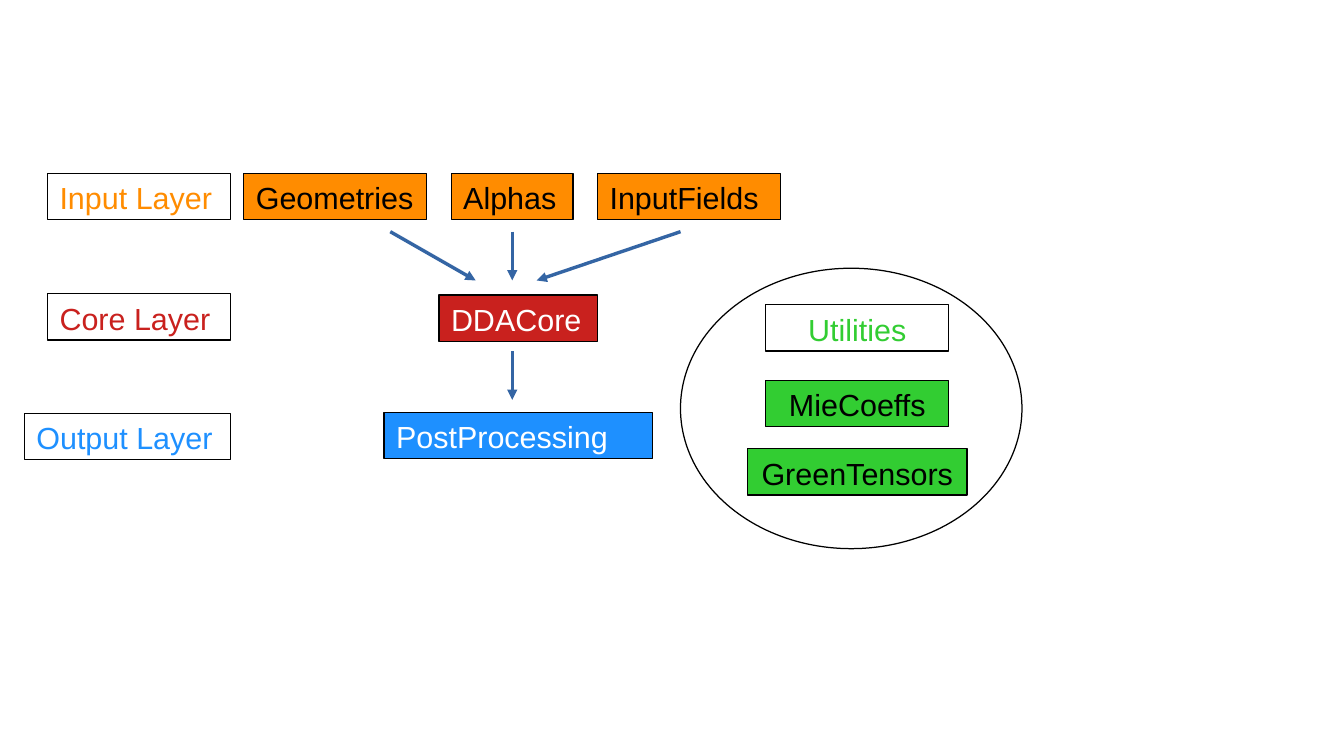
"""Draw the layers of a scattering code and its utilities."""
import dataclasses
import typing

import lxml.etree
import pptx
import pptx.dml.color
import pptx.enum.shapes
import pptx.enum.text
import pptx.oxml.ns
import pptx.util

Shape = pptx.enum.shapes.MSO_SHAPE
Align = pptx.enum.text.PP_ALIGN


@dataclasses.dataclass(frozen=True)
class Theme:
    font: str = "Arial"
    size: int = 18
    hair: int = 0
    black: str = "000000"
    white: str = "FFFFFF"
    orange: str = "FF8C00"
    red: str = "C9211E"
    blue: str = "1E90FF"
    green: str = "32CD32"
    arrow: str = "3465A4"


@dataclasses.dataclass(frozen=True)
class Box:
    text: str
    col: float
    row: float
    cols: float
    ink: str
    fill: typing.Optional[str] = None
    align: Align = Align.LEFT


@dataclasses.dataclass(frozen=True)
class Arrow:
    col: float
    row: float
    end_col: float
    end_row: float


THEME = Theme()
CELL = 0.1
TALL = 3.8
TOP, MID, LOW = 14.2, 24.1, 33.9
AXIS = 42
HUB = 69.8

LABELS = [
    Box("Input Layer", 3.9, TOP, 15, THEME.orange),
    Box("Core Layer", 3.9, MID, 15, THEME.red),
    Box("Output Layer", 2, LOW, 16.9, THEME.blue),
]
INPUTS = [
    Box(text, col, TOP, cols, THEME.black, THEME.orange)
    for text, col, cols in [("Geometries", 20, 15), ("Alphas", 37, 10), ("InputFields", 49, 15)]
]
STAGES = [
    Box("DDACore", 36, 24.2, 13, THEME.white, THEME.red),
    Box("PostProcessing", 31.5, 33.8, 22, THEME.white, THEME.blue),
]
TOOLS = [
    Box(text, HUB + 0.5 - cols / 2, row, cols, ink, fill, Align.CENTER)
    for text, row, cols, ink, fill in [
        ("Utilities", 25, 15, THEME.green, None),
        ("MieCoeffs", 31.2, 15, THEME.black, THEME.green),
        ("GreenTensors", 36.8, 18, THEME.black, THEME.green),
    ]
]
ARROWS = [
    Arrow(32, 19, 39, 23),
    Arrow(AXIS, 19, AXIS, 23),
    Arrow(55.8, 19, 44, 23),
    Arrow(AXIS, 28.8, AXIS, 32.8),
]


def grid(count: float) -> int:
    return pptx.util.Inches(round(count * CELL, 2))


def tint(code: str) -> pptx.dml.color.RGBColor:
    return pptx.dml.color.RGBColor.from_string(code)


def panel(slide, kind: Shape, area: typing.Sequence[float], fill: typing.Optional[str]):
    shape = slide.shapes.add_shape(kind, *map(grid, area))
    shape.shadow.inherit = False
    if fill:
        shape.fill.solid()
        shape.fill.fore_color.rgb = tint(fill)
    else:
        shape.fill.background()
    shape.line.color.rgb = tint(THEME.black)
    shape.line.width = pptx.util.Pt(THEME.hair)
    return shape


def draw_box(slide, box: Box) -> None:
    shape = panel(slide, Shape.RECTANGLE, (box.col, box.row, box.cols, TALL), box.fill)
    frame = shape.text_frame
    frame.text = box.text
    frame.word_wrap = True
    frame.auto_size = pptx.enum.text.MSO_AUTO_SIZE.SHAPE_TO_FIT_TEXT
    frame.vertical_anchor = pptx.enum.text.MSO_ANCHOR.TOP
    line = frame.paragraphs[0]
    line.alignment = box.align
    font = line.runs[0].font
    font.name = THEME.font
    font.size = pptx.util.Pt(THEME.size)
    font.color.rgb = tint(box.ink)


def draw_arrow(slide, arrow: Arrow) -> None:
    ends = map(grid, dataclasses.astuple(arrow))
    link = slide.shapes.add_connector(pptx.enum.shapes.MSO_CONNECTOR.STRAIGHT, *ends)
    link.line.color.rgb = tint(THEME.arrow)
    link.line.width = pptx.util.Pt(THEME.hair)
    props = link._element.spPr
    name = pptx.oxml.ns.qn
    lxml.etree.SubElement(props.find(name("a:ln")), name("a:tailEnd"), type="triangle")
    lxml.etree.SubElement(props, name("a:effectLst"))


def main() -> None:
    deck = pptx.Presentation()
    deck.slide_width = grid(110.2)
    deck.slide_height = grid(62)
    slide = deck.slides.add_slide(deck.slide_layouts[6])
    panel(slide, Shape.OVAL, (HUB - 14, 22, 28, 23), THEME.white)
    for box in LABELS + INPUTS + STAGES + TOOLS:
        draw_box(slide, box)
    for arrow in ARROWS:
        draw_arrow(slide, arrow)
    deck.save("out.pptx")


if __name__ == "__main__":
    main()
